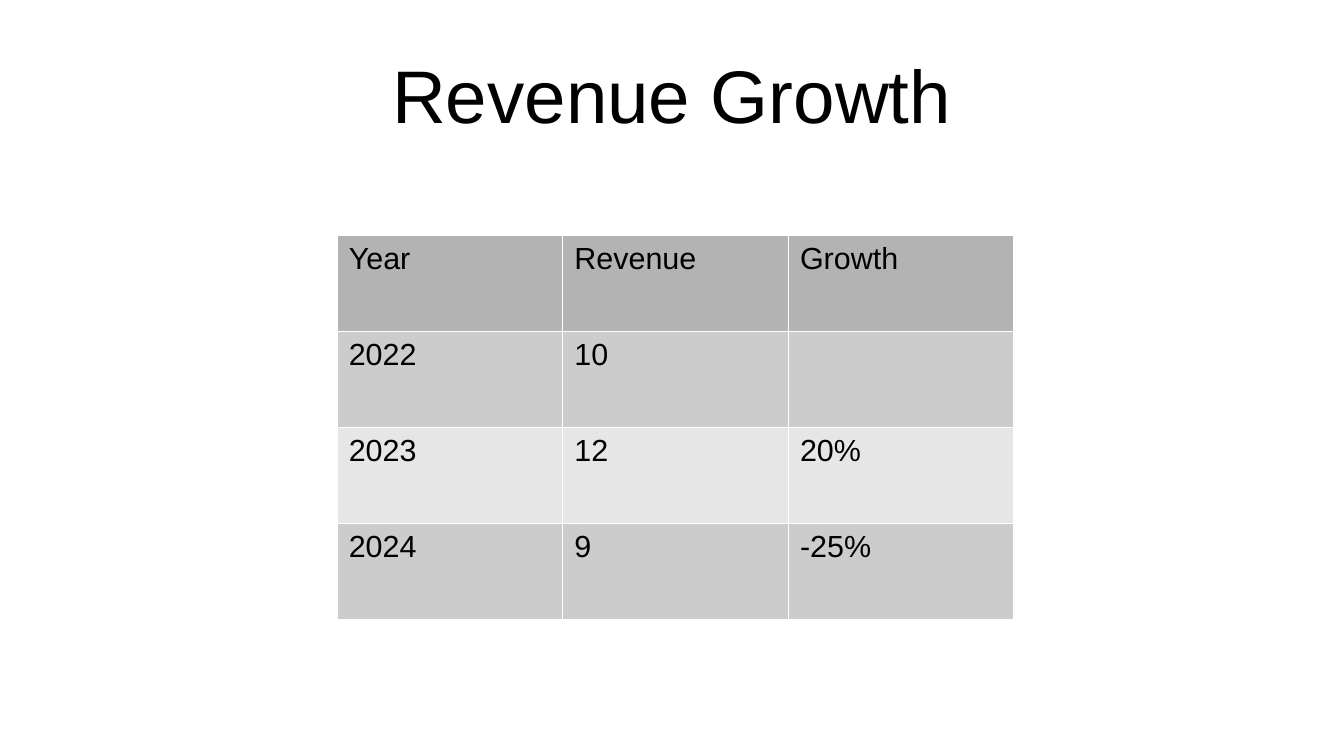
from lxml import etree
from pptx import Presentation
from pptx.dml.color import RGBColor
from pptx.enum.text import MSO_ANCHOR, PP_ALIGN
from pptx.oxml.ns import qn
from pptx.util import Inches, Pt

CENTER, LEFT = PP_ALIGN.CENTER, PP_ALIGN.LEFT
MIDDLE, TOP = MSO_ANCHOR.MIDDLE, MSO_ANCHOR.TOP
FONT = "Arial"
HEADER_FILL = "B3B3B3"
BAND_FILLS = ("CCCCCC", "E6E6E6")
BORDER_COLOR, BORDER_WIDTH = "FFFFFF", Pt(0.06)
ROWS = [
    ("Year", "Revenue", "Growth"),
    ("2022", "10", ""),
    ("2023", "12", "20%"),
    ("2024", "9", "-25%"),
]


def rgb(color):
    """Turn a hex string into a colour."""
    return RGBColor.from_string(color)


def write(tf, text, size=18, color="000000", align=LEFT):
    """Put formatted text in the first paragraph of a text frame."""
    p = tf.paragraphs[0]
    p.alignment = align
    p.font.size = Pt(size)
    if text:
        r = p.add_run()
        r.text = text
        r.font.name = FONT
        r.font.size = Pt(size)
        r.font.bold = False
        r.font.color.rgb = rgb(color)


def add_title(s, text):
    """Place and fill the title placeholder."""
    sp = s.shapes.title
    sp.left, sp.top = Inches(0.55), Inches(0.25)
    sp.width, sp.height = Inches(9.92), Inches(1.03)
    tf = sp.text_frame
    tf.margin_left = tf.margin_right = tf.margin_top = tf.margin_bottom = 0
    tf.vertical_anchor = MIDDLE
    write(tf, text, size=44, align=CENTER)


def add_borders(cell):
    """Draw a thin line on each side of a cell."""
    tcPr = cell._tc.get_or_add_tcPr()
    for side in ("a:lnL", "a:lnR", "a:lnT", "a:lnB"):
        ln = etree.SubElement(tcPr, qn(side), w=str(BORDER_WIDTH))
        fill = etree.SubElement(ln, qn("a:solidFill"))
        etree.SubElement(fill, qn("a:srgbClr"), val=BORDER_COLOR)


def format_cell(cell, text, color):
    """Give a cell its borders, fill, margins and text."""
    add_borders(cell)
    cell.fill.solid()
    cell.fill.fore_color.rgb = rgb(color)
    cell.margin_left = cell.margin_right = Inches(0.1)
    cell.margin_top = cell.margin_bottom = Inches(0.05)
    cell.vertical_anchor = TOP
    write(cell.text_frame, text)


def add_revenue_table(s, rows):
    """Add the table with a header row and banded body rows."""
    table = s.shapes.add_table(
        len(rows), len(rows[0]),
        Inches(2.76), Inches(1.93), Inches(5.55), Inches(3.15),
    ).table
    for i, values in enumerate(rows):
        color = BAND_FILLS[(i - 1) % 2] if i else HEADER_FILL
        for j, text in enumerate(values):
            format_cell(table.cell(i, j), text, color)


def main():
    """Build and save the slide."""
    prs = Presentation()
    prs.slide_width, prs.slide_height = Inches(11.02), Inches(6.2)
    s = prs.slides.add_slide(prs.slide_layouts[5])
    add_title(s, "Revenue Growth")
    add_revenue_table(s, ROWS)
    prs.save("out.pptx")


if __name__ == "__main__":
    main()
